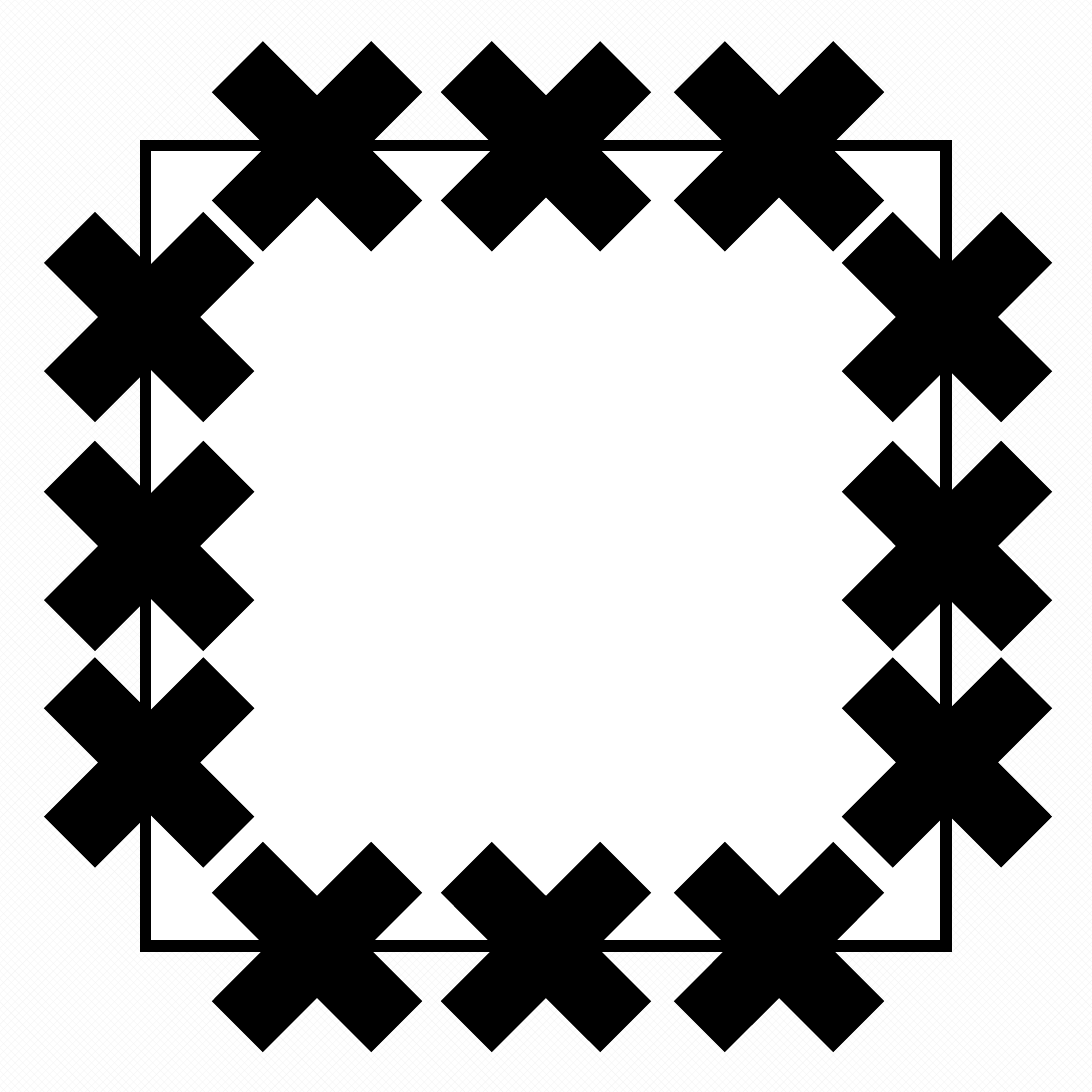
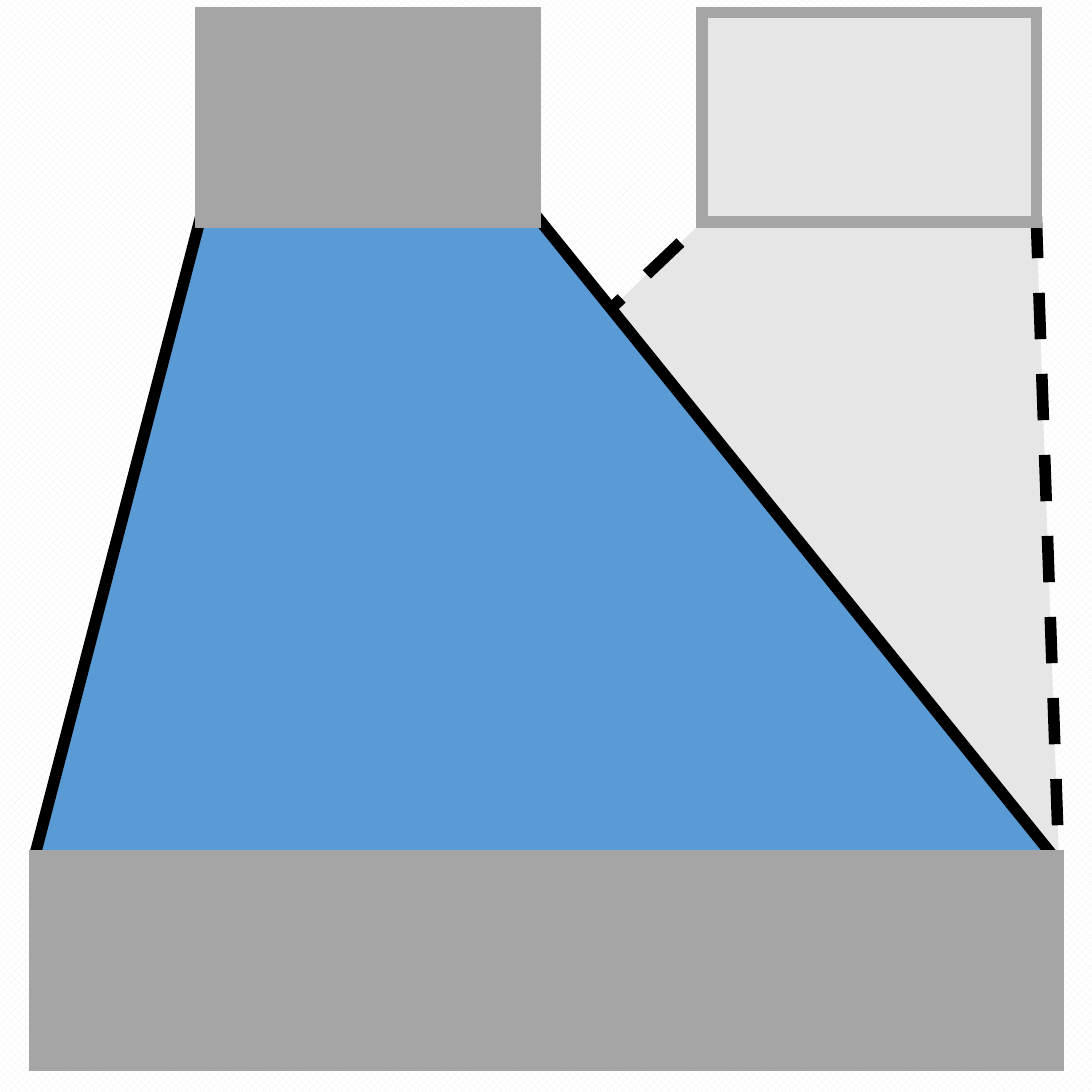
from lxml import etree
from pptx import Presentation
from pptx.dml.color import RGBColor
from pptx.enum import dml, shapes
from pptx.oxml import ns
from pptx.util import Inches, Pt

BLACK = RGBColor(0x00, 0x00, 0x00)
WHITE = RGBColor(0xFF, 0xFF, 0xFF)
CHECK = RGBColor(0xF2, 0xF2, 0xF2)
GRAY = RGBColor(0xA5, 0xA5, 0xA5)
PALE = RGBColor(0xE7, 0xE6, 0xE6)
BLUE = RGBColor(0x5B, 0x9B, 0xD5)
SIDE = 7.87


def paint(shape, fill, line=None, dash=None):
    shape.shadow.inherit = False
    shape.fill.solid()
    shape.fill.fore_color.rgb = fill
    if line is None:
        shape.line.fill.background()
        return
    shape.line.width = Pt(6)
    shape.line.color.rgb = line
    if dash is not None:
        shape.line.dash_style = dash
    outline = shape._element.spPr.find(ns.qn("a:ln"))
    etree.SubElement(outline, ns.qn("a:miter"), lim="800000")


def add_polygon(page, points):
    corners = [(Inches(x), Inches(y)) for x, y in points]
    builder = page.shapes.build_freeform(*corners[0])
    builder.add_line_segments(corners[1:], close=True)
    return builder.convert_to_shape()


deck = Presentation()
deck.slide_width = deck.slide_height = Inches(SIDE)
pages = [deck.slides.add_slide(deck.slide_layouts[6]) for _ in range(2)]
for page in pages:
    background = page.background.fill
    background.patterned()
    background.pattern = dml.MSO_PATTERN.LARGE_CHECKER_BOARD
    background.fore_color.rgb = CHECK
    background.back_color.rgb = WHITE
frame_page, funnel_page = pages

RECT = shapes.MSO_SHAPE.RECTANGLE
frame = frame_page.shapes.add_shape(
    RECT, Inches(1.05), Inches(1.05), Inches(5.77), Inches(5.77))
paint(frame, WHITE, BLACK)

CROSS = 2.21
across = [(x, y) for y in (-0.05, 5.72) for x in (1.18, 2.83, 4.51)]
down = [(x, y) for x in (-0.03, 5.72) for y in (1.18, 2.83, 4.39)]
for x, y in across + down:
    cross = frame_page.shapes.add_shape(
        shapes.MSO_SHAPE.MATH_MULTIPLY, Inches(x), Inches(y), Inches(CROSS), Inches(CROSS))
    paint(cross, BLACK)

LEFT, RIGHT = 0.25, 7.63
TOP, BASE = 1.6, 6.17
BLOCK_WIDTH, BLOCK_HEIGHT, BLOCK_TOP = 2.41, 1.51, 0.09
SOLID_LEFT, GHOST_LEFT = 1.45, 5.06

funnels = [
    (GHOST_LEFT, PALE, BLACK, dml.MSO_LINE.DASH),
    (SOLID_LEFT, BLUE, None, None),
]
for x, fill, line, dash in funnels:
    funnel = add_polygon(funnel_page, [
        (x, TOP), (x + BLOCK_WIDTH, TOP), (RIGHT, BASE), (LEFT, BASE)])
    paint(funnel, fill, line, dash)

edges = [
    (SOLID_LEFT, LEFT, BASE),
    (SOLID_LEFT + BLOCK_WIDTH, RIGHT, BASE + 0.05),
]
for x1, x2, y2 in edges:
    edge = funnel_page.shapes.add_connector(
        shapes.MSO_CONNECTOR.STRAIGHT, Inches(x1), Inches(TOP - 0.05), Inches(x2), Inches(y2))
    edge.line.width = Pt(6)
    edge.line.color.rgb = BLACK
    etree.SubElement(edge._element.spPr, ns.qn("a:effectLst"))

blocks = [
    (SOLID_LEFT, BLOCK_TOP, BLOCK_WIDTH, GRAY),
    (LEFT, BASE, RIGHT - LEFT, GRAY),
    (GHOST_LEFT, BLOCK_TOP, BLOCK_WIDTH, PALE),
]
for x, y, width, fill in blocks:
    block = funnel_page.shapes.add_shape(
        RECT, Inches(x), Inches(y), Inches(width), Inches(BLOCK_HEIGHT))
    paint(block, fill, GRAY)

deck.save("out.pptx")
